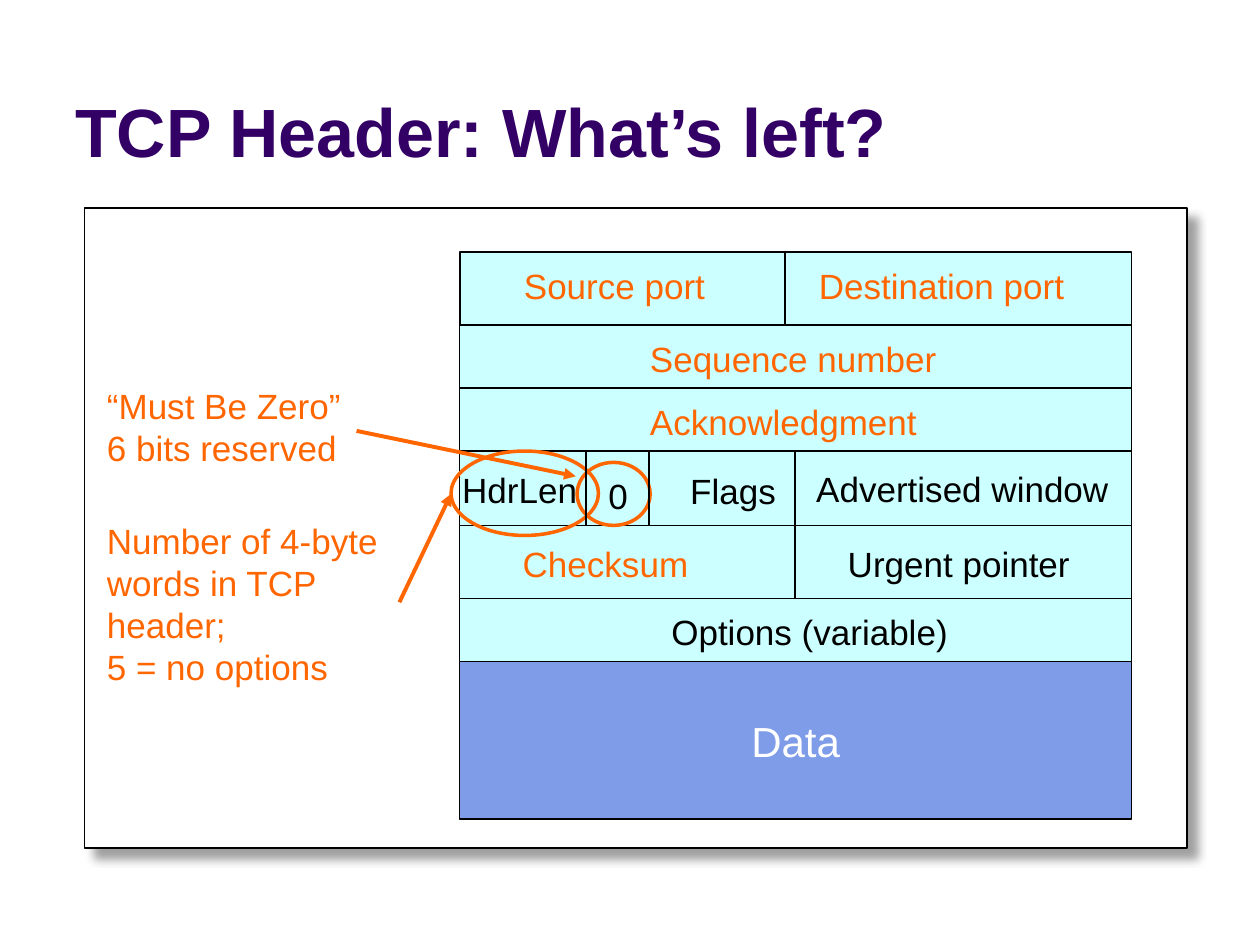
from typing import NamedTuple

from lxml.etree import SubElement
from pptx import Presentation
from pptx.dml.color import RGBColor
from pptx.enum.shapes import MSO_CONNECTOR as CONN, MSO_SHAPE as SHAPE
from pptx.enum.text import MSO_ANCHOR as ANCHOR, MSO_AUTO_SIZE as AUTO, PP_ALIGN as ALIGN
from pptx.oxml.ns import qn
from pptx.util import Inches, Pt

BLACK = RGBColor(0x00, 0x00, 0x00)
WHITE = RGBColor(0xFF, 0xFF, 0xFF)
ORANGE = RGBColor(0xFF, 0x66, 0x00)
CYAN = RGBColor(0xCC, 0xFF, 0xFF)
BLUE = RGBColor(0x7E, 0x9C, 0xE8)
PURPLE = RGBColor(0x33, 0x00, 0x66)

LEFT, RIGHT, TOP = 3.65, 8.98, 2
LABEL_H = 0.43


class Box(NamedTuple):
    x: float
    y: float
    w: float
    h: float

    def lengths(self) -> list:
        return [Inches(v) for v in self]


class Row(NamedTuple):
    height: float
    split: float | None = None
    fill: RGBColor = CYAN


class Label(NamedTuple):
    text: str
    box: Box
    color: RGBColor = BLACK
    fill: RGBColor | None = CYAN
    wrap: bool = False


class Line(NamedTuple):
    start: tuple[float, float]
    end: tuple[float, float]
    color: RGBColor = BLACK
    width: float = 0.75
    arrow: bool = False


ROWS = [
    Row(0.58, 6.23),
    Row(0.5),
    Row(0.5),
    Row(0.59, 6.31),
    Row(0.58, 6.31),
    Row(0.5),
    Row(1.25, fill=BLUE),
]

LABELS = [
    Label("Source port", Box(4.06, 2.05, 1.66, LABEL_H), ORANGE),
    Label("Destination port", Box(6.4, 2.05, 2.17, LABEL_H), ORANGE),
    Label("Sequence number", Box(5.06, 2.63, 2.52, LABEL_H), ORANGE),
    Label("Acknowledgment", Box(5.06, 3.13, 2.37, LABEL_H), ORANGE),
    Label("Advertised window", Box(6.38, 3.66, 2.54, LABEL_H)),
    Label("HdrLen", Box(3.57, 3.67, 1.17, LABEL_H), fill=None, wrap=True),
    Label("Flags", Box(5.38, 3.68, 0.9, LABEL_H)),
    Label("0", Box(4.73, 3.72, 0.37, LABEL_H)),
    Label("Checksum", Box(4.05, 4.26, 1.55, LABEL_H), ORANGE),
    Label("Urgent pointer", Box(6.63, 4.26, 2, LABEL_H)),
    Label("Options (variable)", Box(5.23, 4.8, 2.43, LABEL_H)),
    Label("“Must Be Zero”\n6 bits reserved", Box(0.75, 3, 2.42, 0.77), ORANGE, None, True),
    Label("Number of 4-byte words in TCP header;\n5 = no options",
          Box(0.75, 4.07, 2.42, 1.43), ORANGE, None, True),
]

RINGS = [Box(4.58, 3.67, 0.58, 0.5), Box(3.58, 3.58, 1.17, 0.67)]

LINES = [
    Line((4.65, 3.58), (4.65, 4.17)),
    Line((5.15, 3.58), (5.15, 4.17)),
    Line((2.83, 3.42), (4.57, 3.78), ORANGE, 2.25, True),
    Line((3.17, 4.78), (3.58, 3.92), ORANGE, 2.25, True),
]


def write(sp, text: str, color: RGBColor, size: float = 20, bold: bool = False,
          align=ALIGN.LEFT, **frame) -> None:
    tf = sp.text_frame
    for name, value in frame.items():
        setattr(tf, name, value)
    p = tf.paragraphs[0]
    p.text = text
    p.alignment = align
    style = {"name": "Arial", "size": Pt(size), "bold": bold}
    for r in p.runs:
        for name, value in style.items():
            setattr(r.font, name, value)
        r.font.color.rgb = color


def draw_shape(slide, kind, box: Box, fill: RGBColor | None,
               line: RGBColor | None = BLACK, width: float = 0.75):
    sp = slide.shapes.add_shape(kind, *box.lengths())
    sp.shadow.inherit = False
    if fill is None:
        sp.fill.background()
    else:
        sp.fill.solid()
        sp.fill.fore_color.rgb = fill
    if line is None:
        sp.line.fill.background()
    else:
        sp.line.color.rgb = line
        sp.line.width = Pt(width)
    return sp


def add_shadow(sp) -> None:
    effects = sp._element.spPr.find(qn("a:effectLst"))
    shadow = SubElement(effects, qn("a:outerShdw"), blurRad=str(Pt(5)), dist=str(Pt(8.5)),
                        dir="2700000", algn="ctr", rotWithShape="0")
    color = SubElement(shadow, qn("a:srgbClr"), val="808080")
    SubElement(color, qn("a:alpha"), val="75000")


def draw_label(slide, label: Label) -> None:
    if label.fill is None:
        sp = slide.shapes.add_textbox(*label.box.lengths())
    else:
        sp = draw_shape(slide, SHAPE.RECTANGLE, label.box, label.fill, None)
    write(sp, label.text, label.color, word_wrap=label.wrap,
          auto_size=AUTO.SHAPE_TO_FIT_TEXT, vertical_anchor=ANCHOR.TOP)


def draw_line(slide, line: Line) -> None:
    ends = [Inches(v) for v in (*line.start, *line.end)]
    sp = slide.shapes.add_connector(CONN.STRAIGHT, *ends)
    sp.line.color.rgb = line.color
    sp.line.width = Pt(line.width)
    if line.arrow:
        SubElement(sp.line._get_or_add_ln(), qn("a:tailEnd"), type="triangle")
    SubElement(sp._element.spPr, qn("a:effectLst"))


def draw_rows(slide) -> None:
    y = TOP
    for row in ROWS:
        edges = [LEFT, row.split, RIGHT] if row.split else [LEFT, RIGHT]
        for x, end in zip(edges, edges[1:]):
            sp = draw_shape(slide, SHAPE.RECTANGLE, Box(x, y, end - x, row.height), row.fill)
        y += row.height
    write(sp, "Data", WHITE, 24, align=ALIGN.CENTER, word_wrap=False,
          vertical_anchor=ANCHOR.MIDDLE)


def main() -> None:
    prs = Presentation()
    prs.slide_width, prs.slide_height = Inches(10), Inches(7.5)
    slide = prs.slides.add_slide(prs.slide_layouts[6])

    panel = draw_shape(slide, SHAPE.RECTANGLE, Box(0.67, 1.65, 8.75, 5.08), WHITE)
    add_shadow(panel)
    title = slide.shapes.add_textbox(*Box(0.5, 0.13, 9, 1.28).lengths())
    write(title, "TCP Header: What’s left?", PURPLE, 39, True, word_wrap=True,
          vertical_anchor=ANCHOR.BOTTOM)

    draw_rows(slide)
    for label in LABELS:
        draw_label(slide, label)
    for ring in RINGS:
        draw_shape(slide, SHAPE.OVAL, ring, None, ORANGE, 2)
    for line in LINES:
        draw_line(slide, line)
    prs.save("out.pptx")


if __name__ == "__main__":
    main()
